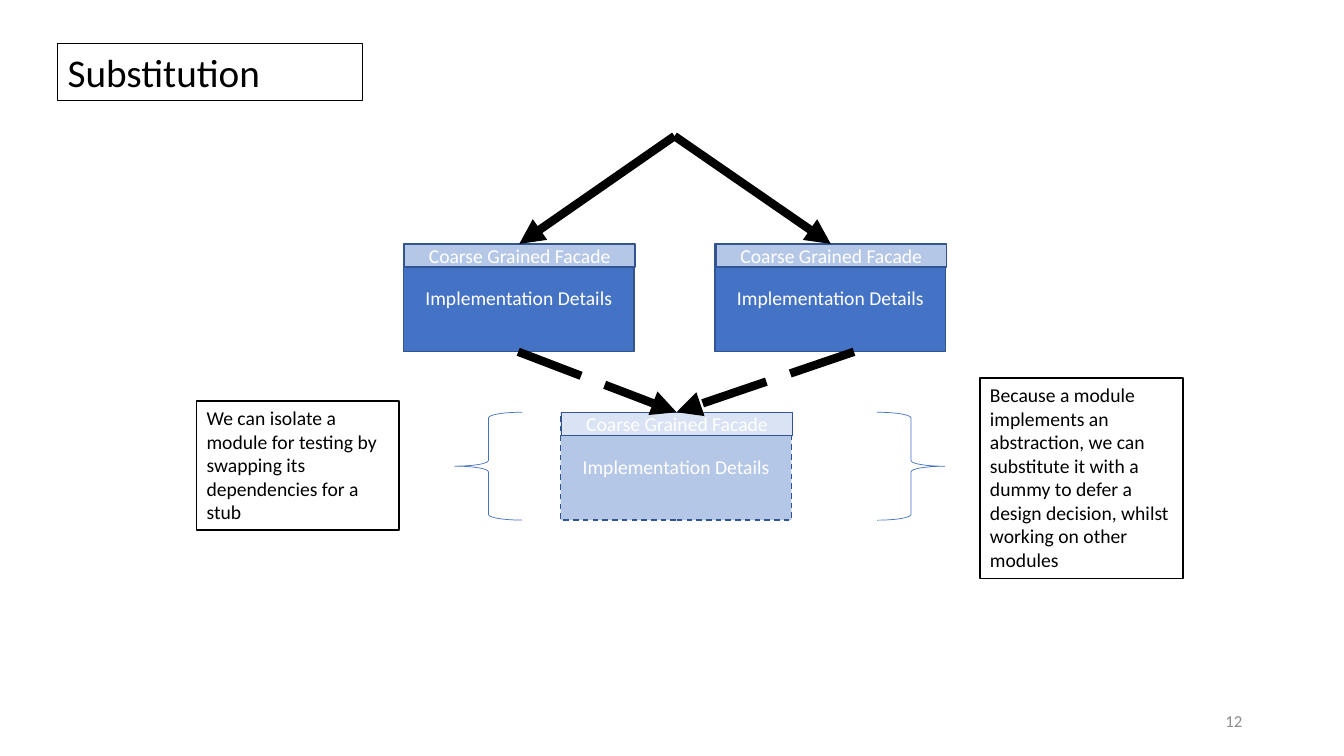
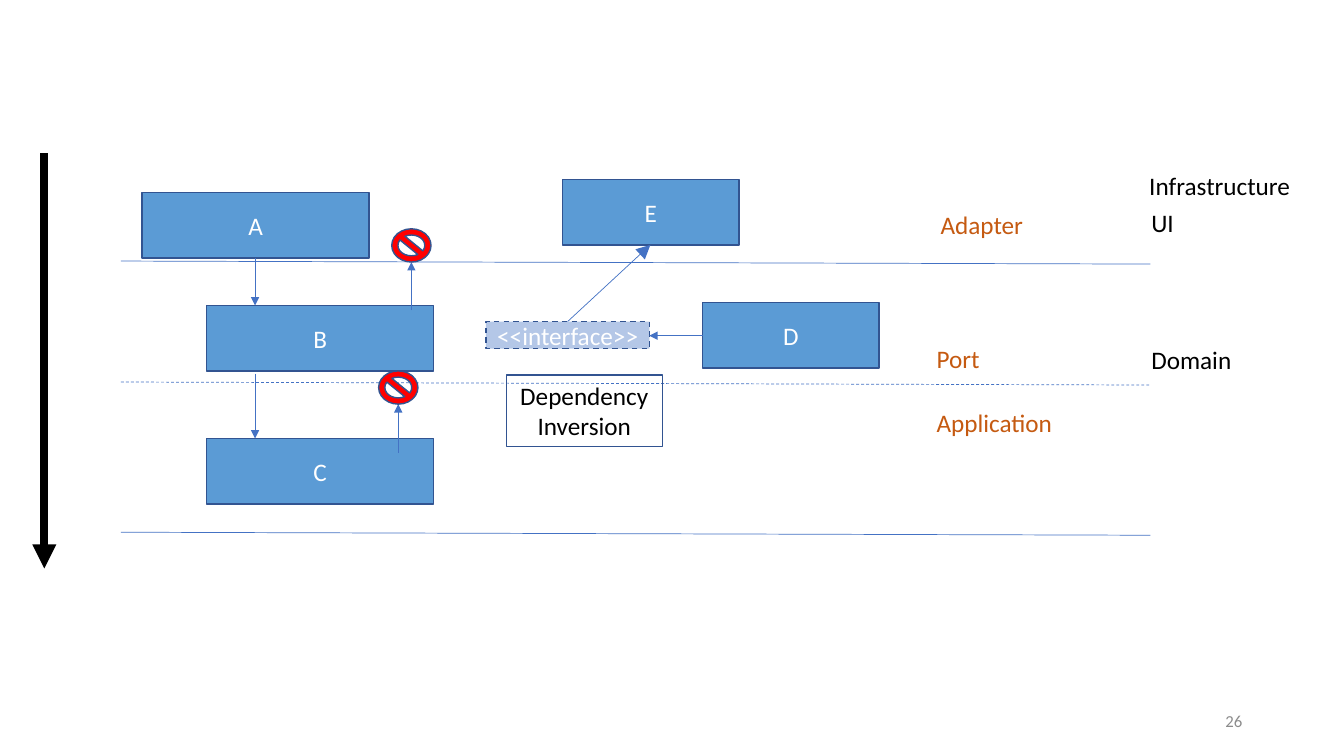
"""Build two slides on module substitution and dependency inversion."""
from dataclasses import dataclass, replace
from typing import Optional

from lxml import etree
from pptx import Presentation, util as u
from pptx.dml.color import RGBColor
from pptx.enum import dml, shapes, text
from pptx.oxml import ns

WIDTH, HEIGHT = u.Inches(13.33), u.Inches(7.5)
COLUMNS, ROWS = 133.3, 75
FONT = "Calibri"
BLACK, WHITE, GREY = "000000", "FFFFFF", "8C8C8C"
BLUE, PALE, PALEST, SKY = "4472C4", "B4C7E7", "DAE3F3", "5B9BD5"
EDGE, ORANGE, RED = "325491", "C55A11", "FF0000"
DASH, LONG_DASH = dml.MSO_LINE.DASH, dml.MSO_LINE.LONG_DASH
KIND = shapes.MSO_SHAPE
LEFT, CENTER, RIGHT = text.PP_ALIGN.LEFT, text.PP_ALIGN.CENTER, text.PP_ALIGN.RIGHT
TOP, MIDDLE = text.MSO_ANCHOR.TOP, text.MSO_ANCHOR.MIDDLE


@dataclass(frozen=True)
class Box:
    """A filled or outlined shape, or plain text, placed on the grid."""
    col: float
    row: float
    cols: float
    rows: float
    label: str = ""
    fill: Optional[str] = None
    edge: Optional[str] = EDGE
    weight: float = 1
    dash: Optional[dml.MSO_LINE] = None
    size: float = 18
    ink: str = WHITE
    align: text.PP_ALIGN = CENTER
    anchor: text.MSO_ANCHOR = MIDDLE
    kind: shapes.MSO_SHAPE = KIND.RECTANGLE
    turn: float = 0


@dataclass(frozen=True)
class Link:
    """A straight line between two grid points, with an optional arrowhead."""
    col: float
    row: float
    end_col: float
    end_row: float
    color: str = BLUE
    weight: float = 0.5
    dash: Optional[dml.MSO_LINE] = None
    head: Optional[str] = "med"


def rgb(color: str) -> RGBColor:
    """Turn a hex string into a colour."""
    return RGBColor.from_string(color)


def across(cols: float) -> int:
    """Turn grid columns into a length."""
    return round(WIDTH * cols / COLUMNS)


def down(rows: float) -> int:
    """Turn grid rows into a length."""
    return round(HEIGHT * rows / ROWS)


def style(shape, box: Box) -> None:
    """Apply the fill, outline and text of a box to a shape."""
    shape.shadow.inherit = False
    if box.fill:
        shape.fill.solid()
        shape.fill.fore_color.rgb = rgb(box.fill)
    else:
        shape.fill.background()
    if box.edge:
        shape.line.color.rgb = rgb(box.edge)
        shape.line.width = u.Pt(box.weight)
        if box.dash:
            shape.line.dash_style = box.dash
    else:
        shape.line.fill.background()
    if box.label:
        frame = shape.text_frame
        frame.text = box.label
        frame.word_wrap = True
        frame.auto_size = text.MSO_AUTO_SIZE.NONE
        frame.vertical_anchor = box.anchor
        paragraph = frame.paragraphs[0]
        paragraph.alignment = box.align
        paragraph.font.name = FONT
        paragraph.font.size = u.Pt(box.size)
        paragraph.font.color.rgb = rgb(box.ink)


def draw_box(slide, box: Box) -> None:
    """Draw a box, using a text box when it has no fill or outline."""
    place = across(box.col), down(box.row), across(box.cols), down(box.rows)
    if box.fill or box.edge:
        shape = slide.shapes.add_shape(box.kind, *place)
        shape.rotation = box.turn
    else:
        shape = slide.shapes.add_textbox(*place)
    style(shape, box)


def draw_link(slide, link: Link) -> None:
    """Draw a line and its arrowhead."""
    connector = slide.shapes.add_connector(
        shapes.MSO_CONNECTOR.STRAIGHT, across(link.col), down(link.row),
        across(link.end_col), down(link.end_row))
    connector.line.color.rgb = rgb(link.color)
    connector.line.width = u.Pt(link.weight)
    if link.dash:
        connector.line.dash_style = link.dash
    properties = connector.element.spPr
    if link.head:
        etree.SubElement(properties.find(ns.qn("a:ln")), ns.qn("a:tailEnd"),
                         type="triangle", w=link.head, len=link.head)
    etree.SubElement(properties, ns.qn("a:effectLst"))


def draw_title(slide, box: Box) -> None:
    """Move and format the title placeholder."""
    title = slide.shapes.title
    title.left, title.top = across(box.col), down(box.row)
    title.width, title.height = across(box.cols), down(box.rows)
    style(title, box)


def draw_all(slide, parts: list) -> None:
    """Draw boxes and links from back to front."""
    for part in parts:
        (draw_link if isinstance(part, Link) else draw_box)(slide, part)


def plain(col: float, row: float, cols: float, label: str, ink: str) -> Box:
    """Describe a one-line label without an outline."""
    return Box(col, row, cols, 4, label, edge=None, ink=ink, align=LEFT, anchor=TOP)


def page_number(number: str) -> Box:
    """Describe the page number in the lower right corner."""
    return Box(94.2, 69.5, 30, 4, number, edge=None, size=12, ink=GREY, align=RIGHT)


def module(col: float, row: float, body: str, facade: str,
           dash: Optional[dml.MSO_LINE] = None) -> list[Box]:
    """Describe a module with its facade strip on top."""
    details = Box(col, row, 22.9, 10.7, "Implementation Details", body,
                  dash=dash, size=14)
    strip = replace(details, col=col + 0.1, rows=2.3, fill=facade,
                    label="Coarse Grained Facade", dash=None)
    return [details, strip]


def note(col: float, row: float, rows: float, label: str) -> Box:
    """Describe an outlined explanatory note."""
    return Box(col, row, 20.1, rows, label, edge=BLACK, weight=1.25, size=14,
               ink=BLACK, align=LEFT, anchor=TOP)


def blocked(center: float, top: float) -> list:
    """Describe a forbidden upward dependency: an arrow under a stop sign."""
    return [Link(center, top + 8.1, center, top + 3.3),
            Box(center - 1.95, top, 3.9, 3.3, fill=RED, kind=KIND.NO_SYMBOL)]


def substitution(deck) -> None:
    """Draw the slide on replacing a module with a stub."""
    slide = deck.slides.add_slide(deck.slide_layouts[5])
    draw_title(slide, Box(5.7, 4.3, 30.3, 5.7, "Substitution", edge=BLACK, weight=0.75,
                          size=28, ink=BLACK, align=LEFT, anchor=TOP))
    upper, lower, apex, stub = 24.2, 40.9, 66.9, 67.1
    brace = Box(45.1, lower, 6.7, 10.7, edge=BLUE, weight=0.5, kind=KIND.LEFT_BRACE)
    bold = Link(apex, 13.5, 82.4, upper, BLACK, 6)
    draw_all(slide, [
        *module(70.9, upper, BLUE, PALE),
        *module(40, upper, BLUE, PALE),
        *module(55.6, lower, PALE, PALEST, DASH),
        bold,
        replace(bold, end_col=51.5),
        *(Link(col, 34.9, stub, lower, BLACK, 6, LONG_DASH) for col in (51.4, 84.7)),
        brace,
        replace(brace, col=87, turn=180),
        note(97.2, 37.5, 19.9, "Because a module implements an abstraction, we can "
             "substitute it with a dummy to defer a design decision, whilst working "
             "on other modules"),
        note(19.5, 39.8, 12.8, "We can isolate a module for testing by swapping its "
             "dependencies for a stub"),
        page_number("12"),
    ])


def dependency_inversion(deck) -> None:
    """Draw the slide on layers and the direction of dependencies."""
    slide = deck.slides.add_slide(deck.slide_layouts[6])
    borders = [Link(12, row, 114.1, row + 0.3, dash=dash, head=None)
               for row, dash in ((25.9, None), (37.9, DASH), (52.8, None))]
    components = [Box(col, row, cols, 6.5, label, SKY) for label, col, row, cols in (
        ("A", 14.1, 19.1, 22.5), ("B", 20.5, 30.3, 22.5), ("C", 20.5, 43.5, 22.5),
        ("D", 69.7, 30, 17.5), ("E", 55.8, 17.8, 17.5))]
    roles = [plain(col, row, 22.2, label, ORANGE) for label, col, row in (
        ("Adapter", 92.3, 20.3), ("Port", 91.9, 33.6), ("Application", 91.9, 39.9))]
    layers = [plain(col, row, cols, label, BLACK) for label, col, row, cols in (
        ("Infrastructure", 113, 16.4, 17), ("UI", 113.2, 20.1, 5.2),
        ("Domain", 113.2, 33.7, 11.1))]
    draw_all(slide, [
        *borders, *components, *roles, *layers,
        Link(25.3, 25.6, 25.3, 30.3),
        Link(25.3, 37.1, 25.3, 43.5),
        *blocked(40.8, 22.7),
        *blocked(39.5, 36.8),
        Box(48.2, 31.9, 16.2, 2.7, "<<interface>>", PALE, dash=DASH),
        Link(56.3, 31.9, 64.5, 24.3, head="lg"),
        Link(69.7, 33.3, 64.4, 33.3),
        Box(50.2, 37.2, 15.5, 7.1, "Dependency Inversion", weight=0.75, ink=BLACK,
            anchor=TOP),
        Link(4.4, 15.2, 4.4, 56.4, BLACK, 5.75),
        page_number("26"),
    ])


def main() -> None:
    """Build and save the presentation."""
    deck = Presentation()
    deck.slide_width, deck.slide_height = WIDTH, HEIGHT
    substitution(deck)
    dependency_inversion(deck)
    deck.save("out.pptx")


if __name__ == "__main__":
    main()
